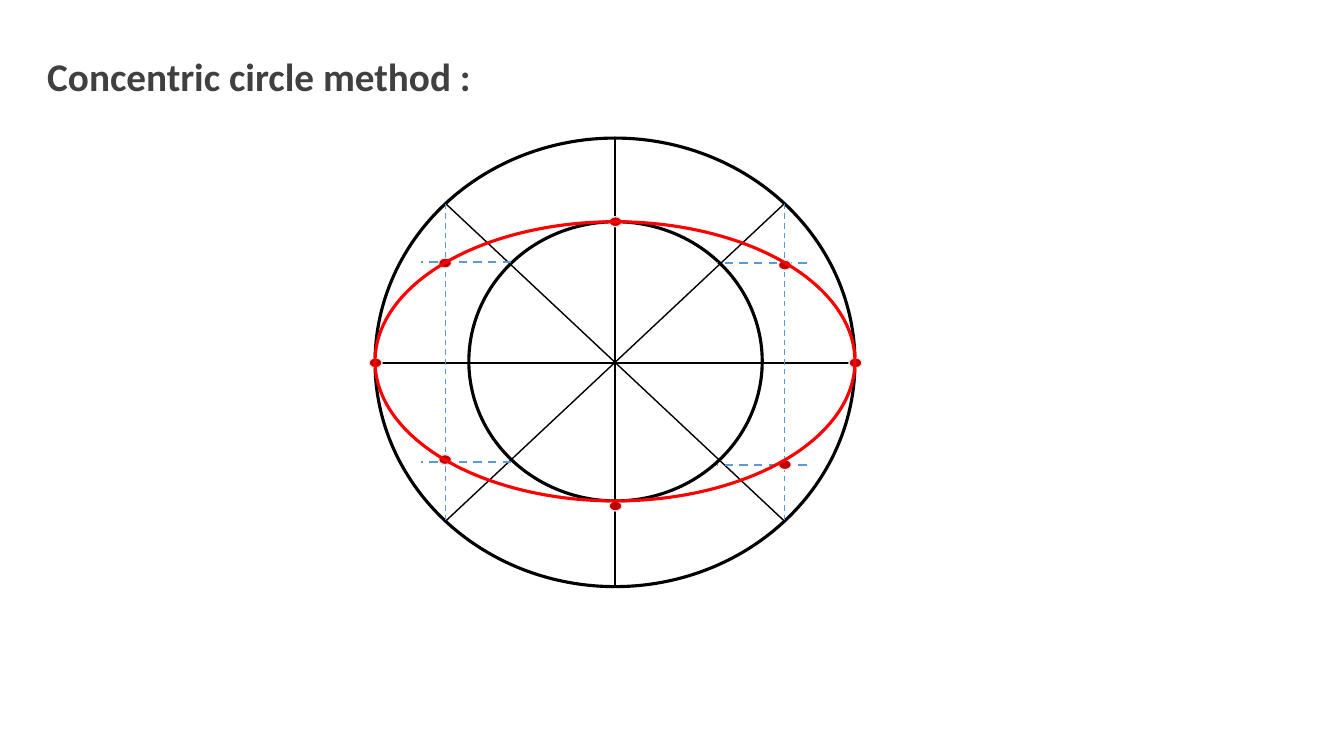
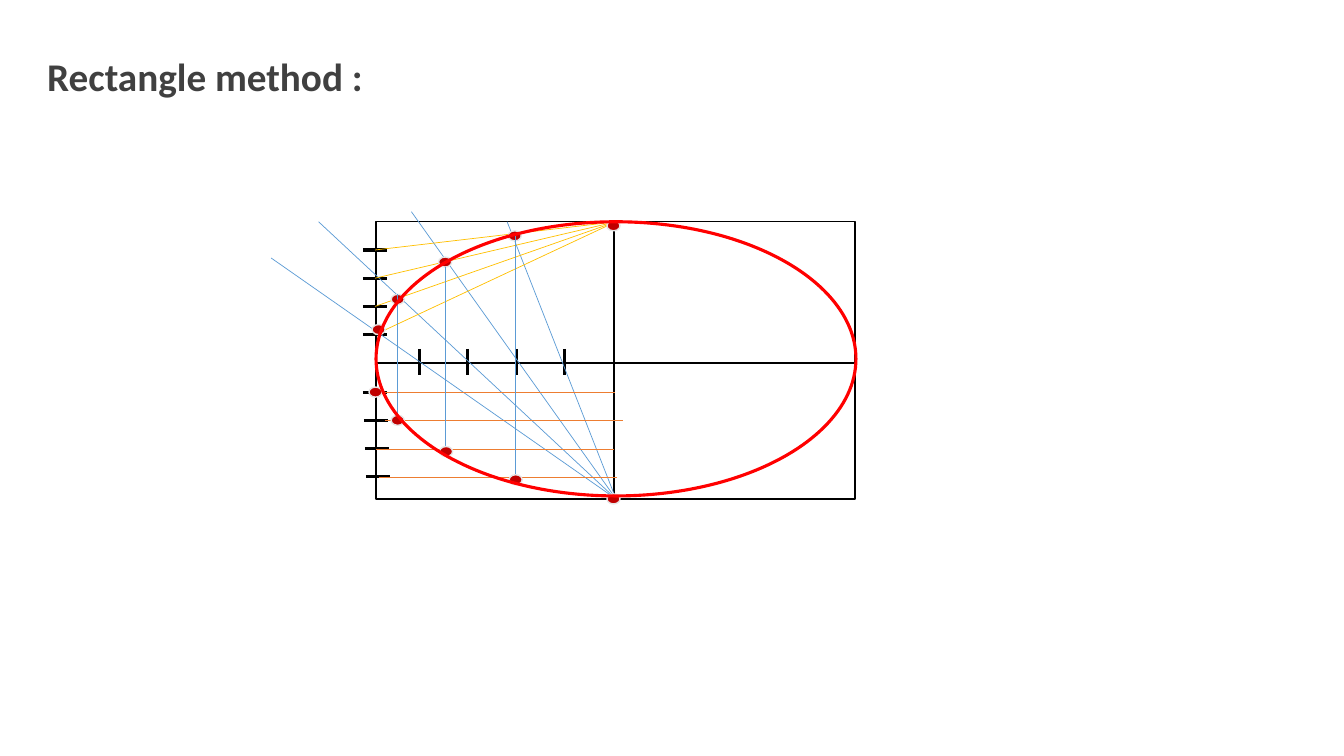
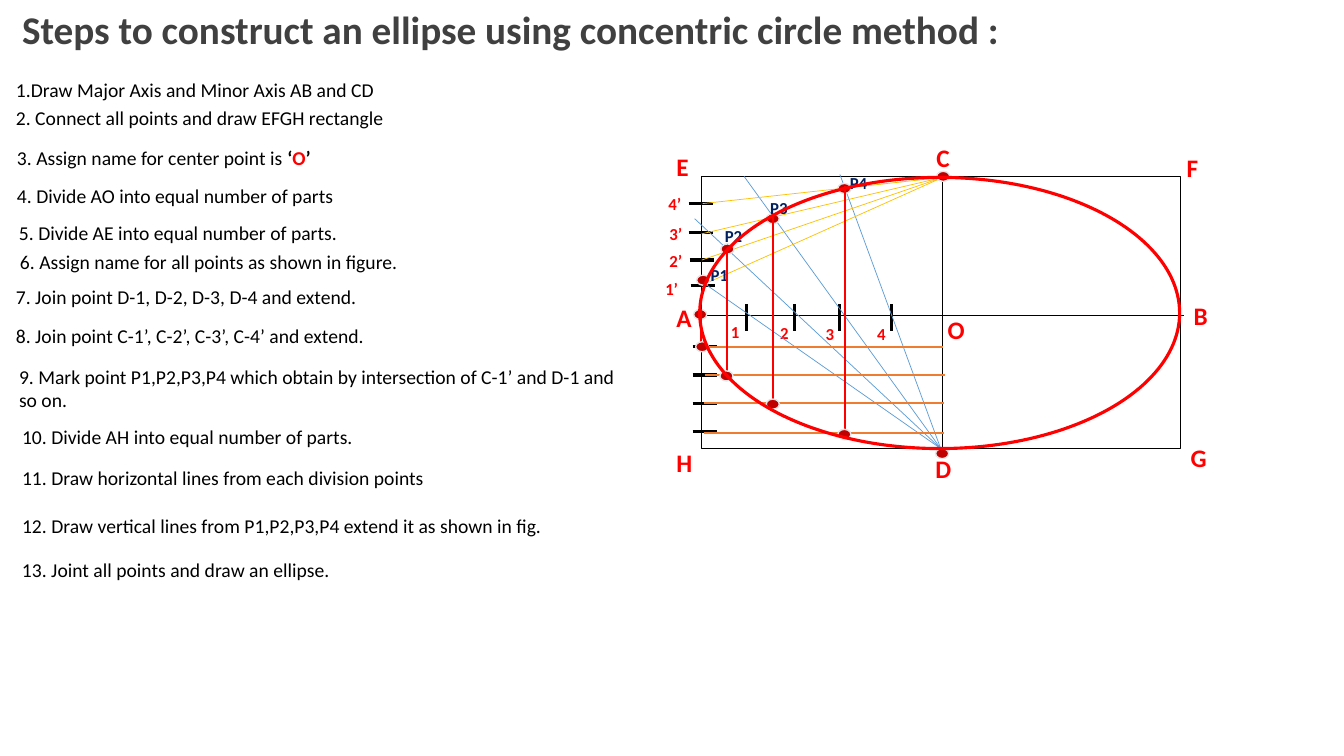
from dataclasses import dataclass
from lxml.etree import SubElement
from pptx import Presentation
from pptx.dml.color import RGBColor
from pptx.enum.dml import MSO_LINE
from pptx.enum.shapes import MSO_CONNECTOR, MSO_SHAPE
from pptx.enum.text import MSO_AUTO_SIZE
from pptx.oxml.ns import qn
from pptx.slide import Slide
from pptx.util import Emu, Pt

SCALE = 9144
FONT = "Calibri"
HUES = {
    "title": "404040",
    "black": "000000",
    "red": "FF0000",
    "dot": "C00000",
    "rim": "E7E6E6",
    "blue": "5B9BD5",
    "gold": "FFC000",
    "orange": "ED7D31",
    "navy": "002060",
}
Point = tuple[int, int]


@dataclass(frozen=True)
class Pen:
    hue: str
    width: float
    dash: bool = False


@dataclass(frozen=True)
class Style:
    size: int
    height: int
    hue: str
    bold: bool
    wrap: bool


@dataclass(frozen=True)
class Run:
    text: str
    hue: str
    bold: bool


@dataclass(frozen=True)
class Label:
    x: int
    y: int
    width: int
    text: str


THIN = Pen("black", 1)
THICK = Pen("black", 2.25)
CURVE = Pen("red", 2.25)
RIM = Pen("rim", 1)
RAY = Pen("blue", 0.5)
BEAM = Pen("gold", 0.5)
LEVEL = Pen("orange", 0.5)
DROP = Pen("red", 1.5)

TITLE = Style(28, 57, "title", True, False)
STEP = Style(14, 34, "black", False, True)
CORNER = Style(18, 40, "red", True, False)
MARK = Style(12, 30, "red", True, True)
NODE = Style(12, 30, "navy", True, False)

STEPS = (
    Label(6, 72, 561, "1.Draw Major Axis and Minor Axis AB and CD"),
    Label(6, 100, 546, "2. Connect all points and draw EFGH rectangle"),
    Label(7, 178, 517, "4. Divide AO into equal number of parts"),
    Label(9, 214, 454, "5. Divide AE into equal number of parts."),
    Label(10, 243, 454, "6. Assign name for all points as shown in figure."),
    Label(6, 278, 580, "7. Join point D-1, D-2, D-3, D-4 and extend."),
    Label(6, 316, 580, "8. Join point C-1’, C-2’, C-3’, C-4’ and extend."),
    Label(9, 357, 611, "9. Mark point P1,P2,P3,P4 which obtain by intersection of C-1’ and D-1 and so on."),
    Label(12, 417, 611, "10. Divide AH into equal number of parts."),
    Label(12, 457, 611, "11. Draw horizontal lines from each division points"),
    Label(12, 505, 611, "12. Draw vertical lines from P1,P2,P3,P4 extend it as shown in fig."),
    Label(12, 549, 736, "13. Joint all points and draw an ellipse."),
)
CENTER = Label(7, 140, 496, "3. Assign name for center point is ")
CORNERS = (
    Label(661, 295, 37, "A"),
    Label(1174, 293, 34, "B"),
    Label(919, 136, 34, "C"),
    Label(918, 445, 36, "D"),
    Label(661, 145, 32, "E"),
    Label(1167, 146, 32, "F"),
    Label(1171, 434, 36, "G"),
    Label(661, 439, 36, "H"),
    Label(930, 307, 37, "O"),
)
MARKS = (
    Label(715, 314, 29, "1"),
    Label(764, 315, 29, "2"),
    Label(809, 316, 29, "3"),
    Label(860, 316, 29, "4"),
    Label(650, 272, 44, "1’"),
    Label(654, 244, 42, "2’"),
    Label(654, 217, 37, "3’"),
    Label(653, 187, 36, "4’"),
)
NODES = (
    Label(695, 258, 38, "P1"),
    Label(709, 219, 38, "P2"),
    Label(754, 191, 38, "P3"),
    Label(833, 166, 38, "P4"),
)


def px(count: int) -> Emu:
    return Emu(count * SCALE)


def color(hue: str) -> RGBColor:
    return RGBColor.from_string(HUES[hue])


def ink(line, pen: Pen) -> None:
    line.color.rgb = color(pen.hue)
    line.width = Pt(pen.width)
    if pen.dash:
        line.dash_style = MSO_LINE.DASH


def draw(slide: Slide, start: Point, end: Point, pen: Pen) -> None:
    line = slide.shapes.add_connector(
        MSO_CONNECTOR.STRAIGHT, px(start[0]), px(start[1]), px(end[0]), px(end[1])
    )
    ink(line.line, pen)
    SubElement(line._element.spPr, qn("a:effectLst"))


def shape(slide: Slide, kind: MSO_SHAPE, x: int, y: int, width: int, height: int,
          pen: Pen, fill: str = "") -> None:
    form = slide.shapes.add_shape(kind, px(x), px(y), px(width), px(height))
    form.shadow.inherit = False
    ink(form.line, pen)
    if fill:
        form.fill.solid()
        form.fill.fore_color.rgb = color(fill)
    else:
        form.fill.background()


def dots(slide: Slide, points: list[Point]) -> None:
    for x, y in points:
        shape(slide, MSO_SHAPE.FLOWCHART_CONNECTOR, x - 6, y - 5, 13, 10, RIM, "dot")


def fan(slide: Slide, hub: Point, ends: list[Point], pen: Pen) -> None:
    for end in ends:
        draw(slide, hub, end, pen)


def ticks(slide: Slide, points: list[Point], upright: bool = False) -> None:
    dx, dy = (0, 13) if upright else (12, 0)
    for x, y in points:
        draw(slide, (x - dx, y - dy), (x + dx, y + dy), THICK)


def levels(slide: Slide, starts: list[Point], length: int, pen: Pen) -> None:
    for x, y in starts:
        draw(slide, (x, y), (x + length, y), pen)


def drops(slide: Slide, spans: list[tuple[int, int, int]], pen: Pen) -> None:
    for x, top, base in spans:
        draw(slide, (x, top), (x, base), pen)


def write(slide: Slide, label: Label, style: Style, extra: tuple[Run, ...] = ()) -> None:
    box = slide.shapes.add_textbox(px(label.x), px(label.y), px(label.width), px(style.height))
    frame = box.text_frame
    frame.word_wrap = style.wrap
    frame.auto_size = MSO_AUTO_SIZE.SHAPE_TO_FIT_TEXT
    for part in (Run(label.text, style.hue, style.bold), *extra):
        run = frame.paragraphs[0].add_run()
        run.text = part.text
        run.font.name = FONT
        run.font.size = Pt(style.size)
        run.font.bold = part.bold
        run.font.color.rgb = color(part.hue)


def page(deck: Presentation, title: Label) -> Slide:
    slide = deck.slides.add_slide(deck.slide_layouts[6])
    write(slide, title, TITLE)
    return slide


def circles(deck: Presentation) -> None:
    slide = page(deck, Label(37, 47, 445, "Concentric circle method :"))
    left, right, top, base = 442, 778, 202, 517
    shape(slide, MSO_SHAPE.OVAL, 372, 137, 476, 445, THICK)
    shape(slide, MSO_SHAPE.OVAL, 465, 220, 291, 277, THICK)
    draw(slide, (610, 137), (610, 582), THIN)
    draw(slide, (372, 360), (848, 360), THIN)
    for x, far in ((left, right), (right, left)):
        draw(slide, (x, top), (far, base), THIN)
    drops(slide, [(x, top, base) for x in (left, right)], Pen("blue", 1, True))
    for start in ((507, 260), (800, 261), (800, 461), (507, 458)):
        levels(slide, [start], -89, Pen("blue", 1.5, True))
    dots(slide, [(441, 261), (441, 456), (778, 461), (778, 263),
                 (610, 220), (610, 502), (848, 360), (372, 360)])
    shape(slide, MSO_SHAPE.OVAL, 372, 220, 476, 277, CURVE)


def box(deck: Presentation) -> None:
    slide = page(deck, Label(37, 47, 337, "Rectangle method :"))
    draw(slide, (372, 360), (848, 360), THIN)
    draw(slide, (609, 220), (609, 498), THIN)
    shape(slide, MSO_SHAPE.RECTANGLE, 373, 220, 475, 275, THIN)
    ticks(slide, [(416 + 48 * i, 359) for i in range(4)], True)
    upper = [(372, 248 + 28 * i) for i in range(4)]
    ticks(slide, upper)
    fan(slide, (611, 495), [(503, 220), (408, 210), (316, 220), (269, 256)], RAY)
    fan(slide, (611, 220), upper, BEAM)
    dots(slide, [(375, 327), (394, 297), (441, 260), (510, 234)])
    ticks(slide, [(372 + i, 389 + 28 * i) for i in range(4)])
    levels(slide, [(374, 389), (382, 417), (373, 446), (376, 474)], 236, LEVEL)
    drops(slide, [(394, 292, 417), (442, 265, 446), (511, 234, 474)], RAY)
    dots(slide, [(372, 389), (394, 417), (442, 448), (511, 476), (608, 495), (608, 224)])
    shape(slide, MSO_SHAPE.OVAL, 373, 220, 476, 272, CURVE)


def guide(deck: Presentation) -> None:
    slide = page(deck, Label(
        12, 0, 1001, "Steps to construct an ellipse using concentric circle method :"))
    for step in STEPS:
        write(slide, step, STEP)
    write(slide, CENTER, STEP,
          (Run("‘", "black", True), Run("O", "red", True), Run("’", "black", True)))
    draw(slide, (698, 313), (1174, 313), THIN)
    draw(slide, (935, 173), (935, 451), THIN)
    shape(slide, MSO_SHAPE.RECTANGLE, 696, 175, 475, 270, THIN)
    ticks(slide, [(x, 315) for x in (740, 788, 833, 884)], True)
    ticks(slide, [(695, 202), (695, 231), (696, 258), (697, 283)])
    for group, style in ((CORNERS, CORNER), (MARKS, MARK)):
        for label in group:
            write(slide, label, style)
    fan(slide, (933, 445), [(833, 173), (738, 175), (689, 217), (694, 278)], RAY)
    fan(slide, (935, 176), [(696, 283), (696, 258), (696, 232), (697, 202)], BEAM)
    dots(slide, [(697, 278), (721, 247), (766, 217), (837, 187), (935, 175), (694, 312)])
    for label in NODES:
        write(slide, label, NODE)
    rows = [344 + 28 * i for i in range(4)]
    ticks(slide, [(699, y) for y in rows])
    levels(slide, [(697, 344), (699, 372), (698, 400), (698, 430)], 238, Pen("orange", 1.5))
    drops(slide, [(695, 307, 347), (721, 248, 371), (767, 213, 400), (838, 185, 426)], DROP)
    dots(slide, [(696, 344), (720, 373), (766, 401), (837, 431), (934, 450)])
    shape(slide, MSO_SHAPE.OVAL, 694, 176, 476, 269, CURVE)


def main() -> None:
    deck = Presentation()
    deck.slide_width = px(1333)
    deck.slide_height = px(750)
    for build in (circles, box, guide):
        build(deck)
    deck.save("out.pptx")


if __name__ == "__main__":
    main()
